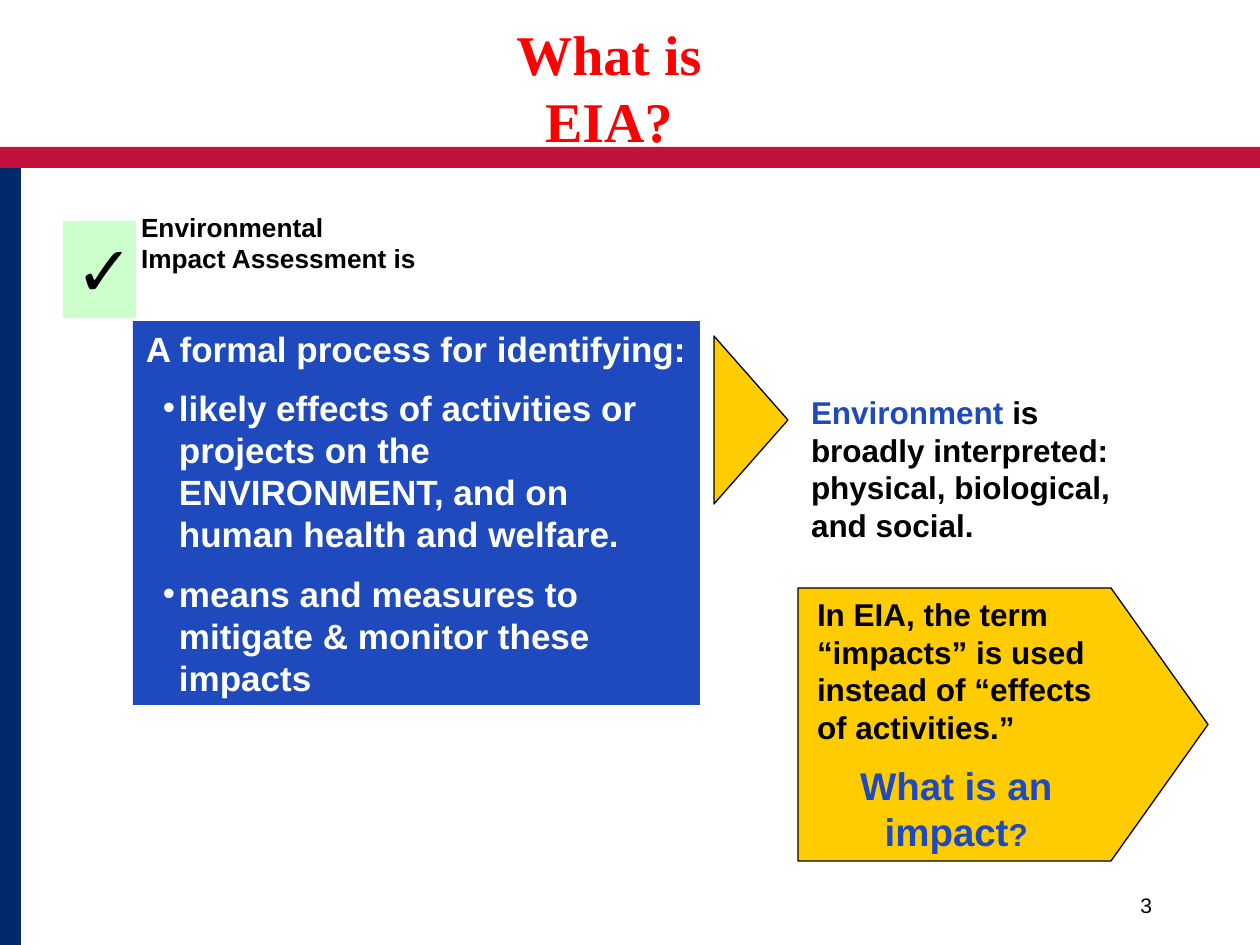
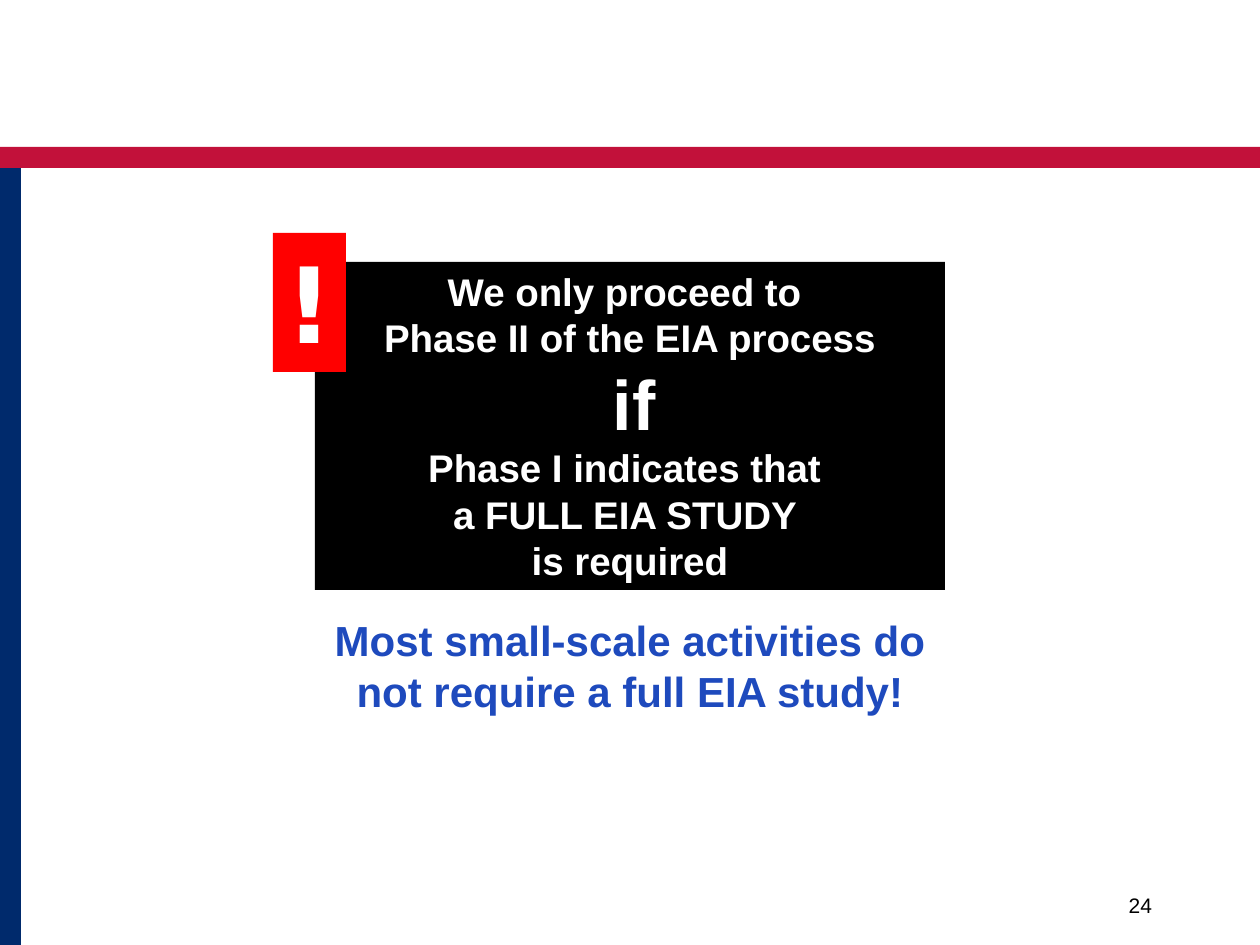
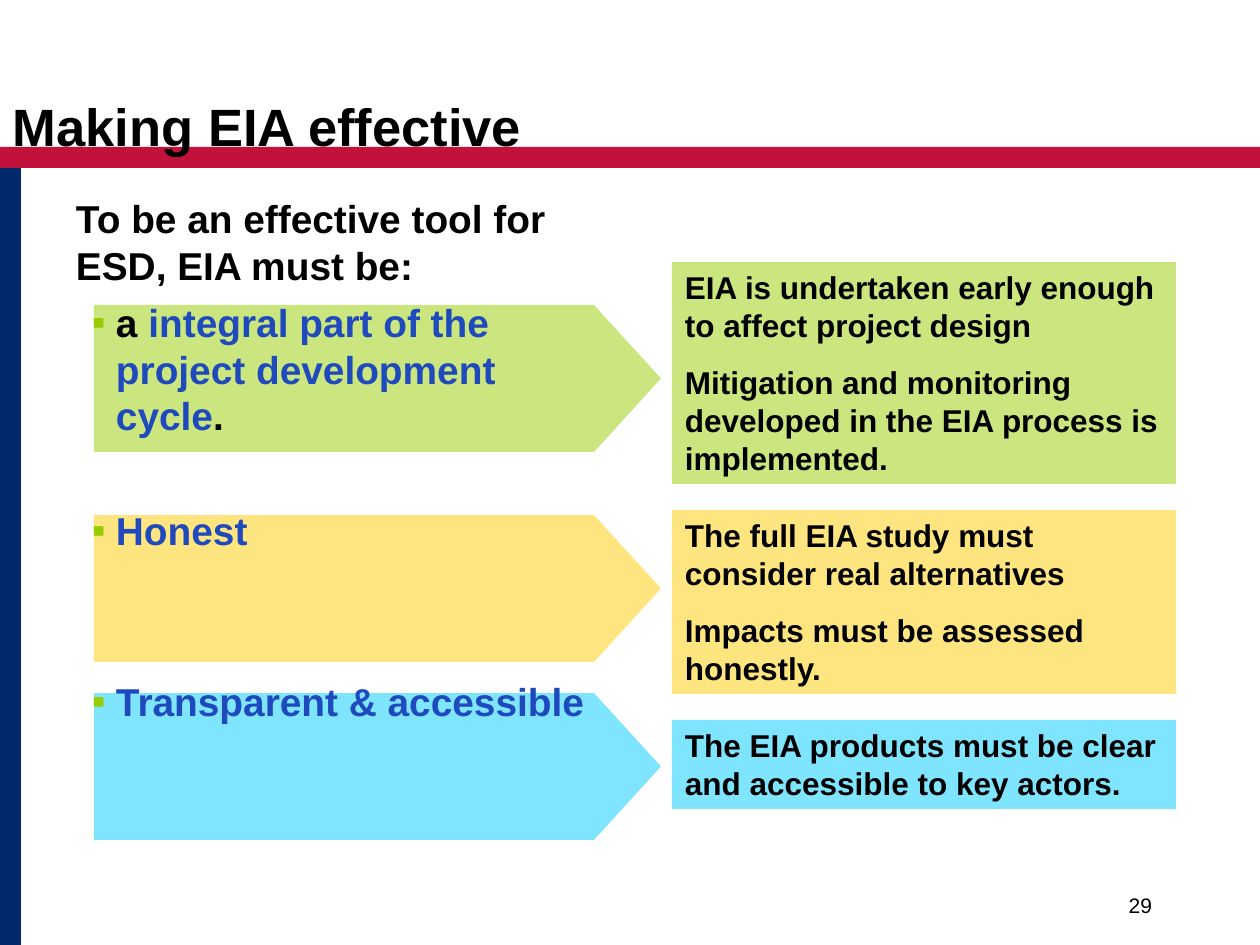
import dataclasses

import pptx
import pptx.dml.color
import pptx.enum.shapes
import pptx.enum.text
import pptx.oxml.ns
import pptx.util
from lxml import etree

SHAPE = pptx.enum.shapes.MSO_SHAPE
ALIGN = pptx.enum.text.PP_ALIGN
ANCHOR = pptx.enum.text.MSO_ANCHOR
PX = 914400 / 126
SLIDE_W, SLIDE_H = 1260, 945


@dataclasses.dataclass(frozen=True)
class Theme:
    sans: str = "Arial"
    serif: str = "Times New Roman"
    symbol: str = "DejaVu Sans"
    red_band: str = "C2113A"
    navy_band: str = "002A6C"
    blue: str = "1E4ABD"
    gold: str = "FFCC00"
    lime: str = "99CC00"
    cyan: str = "00CCFF"
    mint: str = "CCFFCC"
    red: str = "FF0000"
    black: str = "000000"
    white: str = "FFFFFF"
    number: float = 12
    lead: float = 15
    body: float = 18
    definition: float = 20
    emphasis: float = 22
    points: float = 22.2
    closing: float = 24
    heading: float = 30
    title: float = 32
    large: float = 40
    alert: float = 60


T = Theme()


def para(*runs, **fmt):
    return {"runs": runs, **fmt}


DOT = {"char": "•", "color": T.white, "left": 33, "hang": 16}
SQUARE = {"char": "▪", "color": T.lime, "left": 40, "hang": 24}

DEFINITION = [
    para(("A formal process for identifying:", T.definition, T.white), after=10),
    para(("likely effects of activities or projects on the ENVIRONMENT, and on human health and welfare.",
          T.definition, T.white), after=10, bullet=DOT),
    para(("means and measures to mitigate & monitor these impacts", T.definition, T.white), bullet=DOT),
]
IMPACT_TERM = [
    para(("In EIA, the term “impacts” is used instead of “effects of activities.”", T.body, T.black), after=9),
    para(("What is an impact", T.emphasis, T.blue), ("?", T.body, T.blue), align=ALIGN.CENTER),
]
ENVIRONMENT = [
    para(("Environment ", T.body, T.blue),
         ("is broadly interpreted: physical, biological, and social.", T.body, T.black)),
]
PHASE_RULE = [
    para(("We only proceed to \nPhase II of the EIA process\n", T.emphasis, T.white),
         (" if", T.large, T.white),
         (" \nPhase I indicates that \na FULL EIA STUDY \nis required", T.emphasis, T.white),
         align=ALIGN.CENTER),
]
REQUIREMENTS = [
    para(("To be an effective tool for ESD, EIA must be:", T.points, T.black)),
    para(("a ", T.points, T.black),
         ("integral part of the project development cycle", T.points, T.blue),
         (".", T.points, T.black), before=6, bullet=SQUARE),
    para(("Honest", T.points, T.blue), before=39, bullet=SQUARE),
    para(("Transparent & accessible", T.points, T.blue), before=71, bullet=SQUARE),
]
EXPLANATIONS = [
    {"color": T.lime, "arrow_top": 305, "card": (262, 222),
     "lines": ["EIA is undertaken early enough to affect project design",
               "Mitigation and monitoring developed in the EIA process is implemented."]},
    {"color": T.gold, "arrow_top": 515, "card": (510, 184),
     "lines": ["The full EIA study must consider real alternatives",
               "Impacts must be assessed honestly."]},
    {"color": T.cyan, "arrow_top": 693, "card": (720, 89),
     "lines": ["The EIA products must be clear and accessible to key actors."]},
]


def emu(px):
    return round(px * PX)


def rgb(value):
    return pptx.dml.color.RGBColor.from_string(value)


def apply(target, values):
    for name, value in values.items():
        setattr(target, name, value)


def add_bullet(p, bullet):
    pPr = p._p.get_or_add_pPr()
    pPr.set("marL", str(emu(bullet["left"])))
    pPr.set("indent", str(-emu(bullet["hang"])))
    qn = pptx.oxml.ns.qn
    color = etree.SubElement(pPr, qn("a:buClr"))
    etree.SubElement(color, qn("a:srgbClr"), val=bullet["color"])
    etree.SubElement(pPr, qn("a:buFont"), typeface=T.sans)
    etree.SubElement(pPr, qn("a:buChar"), char=bullet["char"])


def add_run(p, text, size, color, font=T.sans, bold=True):
    for i, line in enumerate(text.split("\n")):
        if i:
            p.add_line_break()
        if line:
            r = p.add_run()
            r.text = line
            apply(r.font, {"name": font, "size": pptx.util.Pt(size), "bold": bold})
            r.font.color.rgb = rgb(color)


def write(sp, paras, anchor=ANCHOR.TOP, insets=(13, 6, 13, 6), wrap=True):
    tf = sp.text_frame
    sides = ("margin_left", "margin_top", "margin_right", "margin_bottom")
    apply(tf, {"word_wrap": wrap, "vertical_anchor": anchor,
               **{side: emu(inset) for side, inset in zip(sides, insets)}})
    for i, item in enumerate(paras):
        p = tf.paragraphs[0] if i == 0 else tf.add_paragraph()
        apply(p, {"alignment": item.get("align", ALIGN.LEFT),
                  "space_before": pptx.util.Pt(item.get("before", 0)),
                  "space_after": pptx.util.Pt(item.get("after", 0))})
        if "bullet" in item:
            add_bullet(p, item["bullet"])
        for run in item["runs"]:
            add_run(p, *run)


def add_text(s, box, paras, **fmt):
    write(s.shapes.add_textbox(*map(emu, box)), paras, **fmt)


def add_block(s, box, color, paras=(), kind=SHAPE.RECTANGLE, alpha=None, outlined=False, **fmt):
    sp = s.shapes.add_shape(kind, *map(emu, box))
    sp.shadow.inherit = False
    sp.fill.solid()
    sp.fill.fore_color.rgb = rgb(color)
    if alpha:
        qn = pptx.oxml.ns.qn
        clr = sp._element.spPr.find(qn("a:solidFill")).find(qn("a:srgbClr"))
        etree.SubElement(clr, qn("a:alpha"), val=str(alpha * 1000))
    if outlined:
        sp.line.color.rgb = rgb(T.black)
        sp.line.width = pptx.util.Pt(0.75)
    else:
        sp.line.fill.background()
    if paras:
        write(sp, paras, **fmt)
    return sp


def add_arrow(s, box, head, color, paras=(), **fmt):
    sp = add_block(s, box, color, paras, kind=SHAPE.PENTAGON, **fmt)
    sp.adjustments[0] = head / min(box[2:])


def add_slide(prs, number):
    s = prs.slides.add_slide(prs.slide_layouts[6])
    add_block(s, (0, 147, SLIDE_W, 21), T.red_band)
    add_block(s, (0, 168, 21, SLIDE_H - 168), T.navy_band)
    add_text(s, (903, 861, 262, 63),
             [para((str(number), T.number, T.black, T.sans, False), align=ALIGN.RIGHT)],
             anchor=ANCHOR.BOTTOM)
    return s


def build_definition(prs):
    s = add_slide(prs, 3)
    add_arrow(s, (798, 588, 410, 273), 97, T.gold, IMPACT_TERM, outlined=True,
              anchor=ANCHOR.MIDDLE, insets=(19, 0, 64, 0))
    add_text(s, (81, 199, 672, 84),
             [para(("Environmental \nImpact Assessment is", T.lead, T.black))], insets=(60, 12, 13, 6))
    add_block(s, (133, 321, 567, 384), T.blue, DEFINITION)
    add_block(s, (63, 221, 73, 97), T.mint, [para(("✓", T.large, T.black))])
    add_arrow(s, (714, 336, 74, 168), 74, T.gold, outlined=True)
    add_text(s, (798, 399, 336, 189), ENVIRONMENT, anchor=ANCHOR.MIDDLE, insets=(13, 6, 13, 56))
    add_text(s, (433, 13, 352, 81),
             [para(("What is EIA?", T.title, T.red, T.serif), align=ALIGN.CENTER)], wrap=False)


def build_phase_rule(prs):
    s = add_slide(prs, 24)
    add_block(s, (315, 262, 630, 328), T.black, PHASE_RULE)
    add_block(s, (273, 233, 73, 139), T.red, [para(("!", T.alert, T.white, T.symbol))])
    add_text(s, (310, 609, 640, 113),
             [para(("Most small-scale activities do not require a full EIA study!", T.closing, T.blue),
                   align=ALIGN.CENTER)])


def build_effectiveness(prs):
    s = add_slide(prs, 29)
    for item in EXPLANATIONS:
        add_arrow(s, (94, item["arrow_top"], 567, 147), 67, item["color"], alpha=50)
        top, height = item["card"]
        lines = [para((line, T.body, T.black), before=11.2 if i else 0)
                 for i, line in enumerate(item["lines"])]
        add_block(s, (672, top, 504, height), item["color"], lines, alpha=50)
    add_text(s, (0, 84, 1071, 84), [para(("Making EIA effective", T.heading, T.black))],
             anchor=ANCHOR.MIDDLE)
    add_text(s, (63, 189, 536, 536), REQUIREMENTS)


def main():
    prs = pptx.Presentation()
    prs.slide_width, prs.slide_height = emu(SLIDE_W), emu(SLIDE_H)
    for build in (build_definition, build_phase_rule, build_effectiveness):
        build(prs)
    prs.save("out.pptx")


if __name__ == "__main__":
    main()
